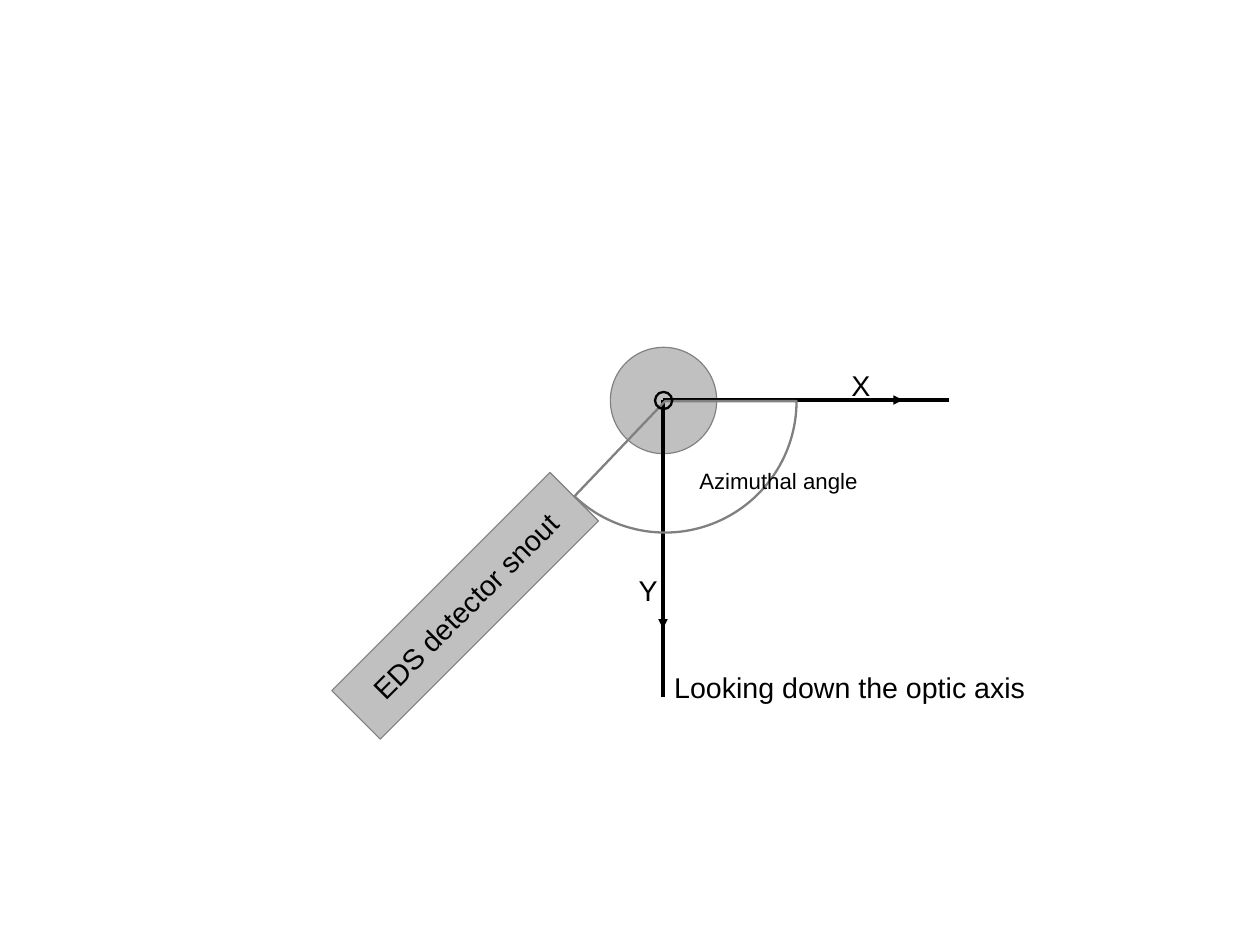
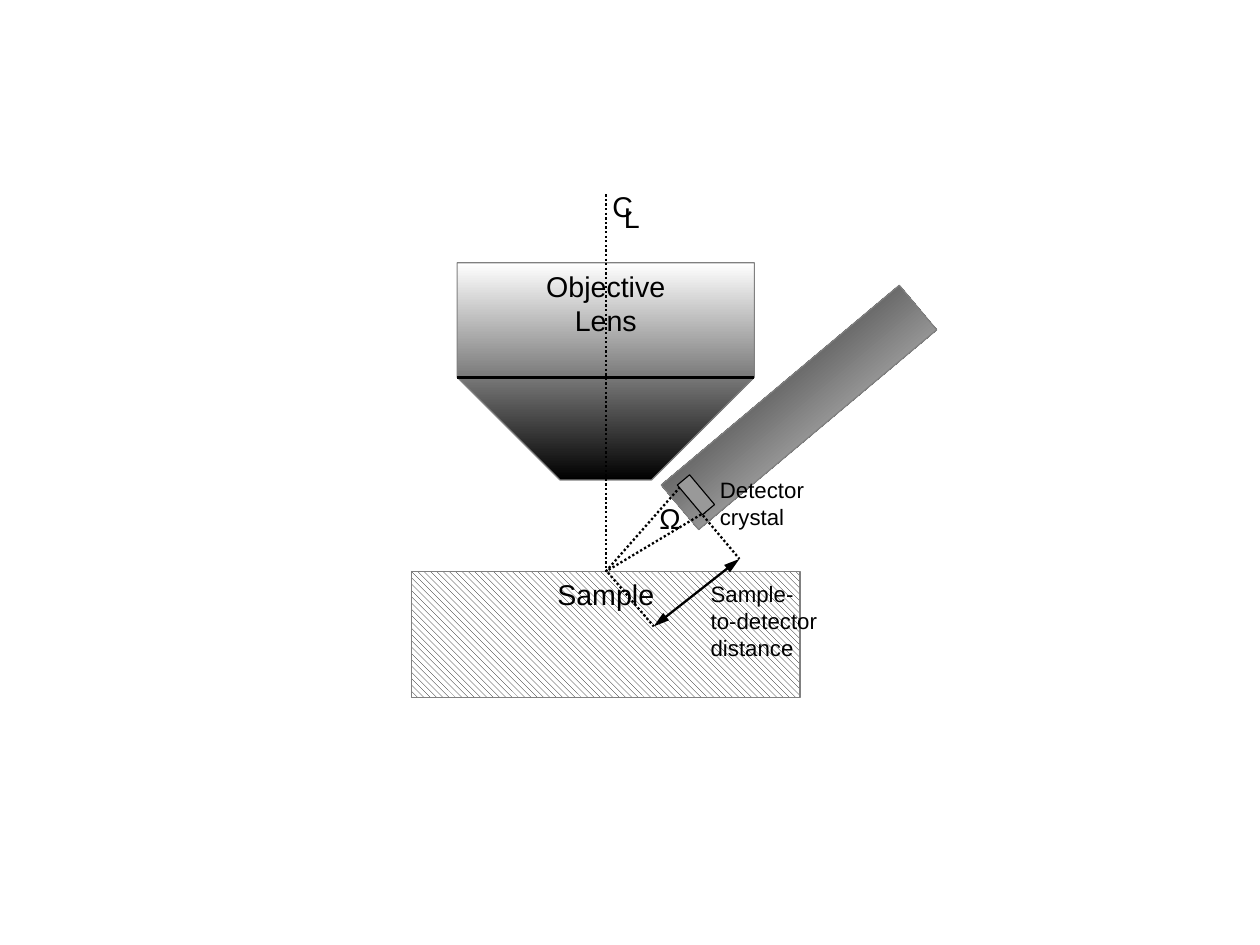
import pptx
import pptx.dml.color
import pptx.enum.dml
import pptx.enum.shapes
import pptx.enum.text
import pptx.oxml.ns
import pptx.oxml.xmlchemy
import pptx.util
from lxml import etree

BLACK = pptx.dml.color.RGBColor(0, 0, 0)
WHITE = pptx.dml.color.RGBColor(255, 255, 255)
GRAY = pptx.dml.color.RGBColor(128, 128, 128)
SILVER = pptx.dml.color.RGBColor(192, 192, 192)
STEEL = pptx.dml.color.RGBColor(153, 153, 153)

FONT = "Arial"
LARGE, SMALL = 18, 14
HAIR, BOLD = 0, 1.45

SHAPE = pptx.enum.shapes.MSO_SHAPE
LEFT = pptx.enum.text.PP_ALIGN.LEFT
MID = pptx.enum.text.PP_ALIGN.CENTER
TOP = pptx.enum.text.MSO_ANCHOR.TOP


def points(values):
    return [pptx.util.Pt(value) for value in values]


def write(shape, text, size=LARGE, color=BLACK, align=LEFT, anchor=TOP, wrap=False):
    frame = shape.text_frame
    frame.text = text
    frame.word_wrap = wrap
    frame.vertical_anchor = anchor
    for para in frame.paragraphs:
        para.alignment = align
        para.font.name = FONT
        para.font.size = pptx.util.Pt(size)
        para.font.color.rgb = color


def label(slide, text, box, **form):
    write(slide.shapes.add_textbox(*points(box)), text, **form)


def style(shape, fill=None, line=GRAY, width=HAIR):
    shape.shadow.inherit = False
    if fill is None:
        shape.fill.background()
    else:
        shape.fill.solid()
        shape.fill.fore_color.rgb = fill
    shape.line.color.rgb = line
    shape.line.width = pptx.util.Pt(width)


def block(slide, kind, box, turn=0, **look):
    shape = slide.shapes.add_shape(kind, *points(box))
    shape.rotation = turn
    style(shape, **look)
    return shape


def disc(slide, center, radius, **look):
    x, y = center
    box = (x - radius, y - radius, 2 * radius, 2 * radius)
    return block(slide, SHAPE.OVAL, box, **look)


def outline(slide, corners):
    start, *rest = [points(corner) for corner in corners]
    maker = slide.shapes.build_freeform(*start)
    maker.add_line_segments(rest, close=True)
    shape = maker.convert_to_shape()
    style(shape)
    return shape


def shade(shape, angle):
    """Fill from black to white along a clockwise angle fixed to the page."""
    shape.fill.gradient()
    shape.fill.gradient_angle = (360 - angle) % 360
    for stop, color, place in zip(shape.fill.gradient_stops, (BLACK, WHITE), (0, 1)):
        stop.color.rgb = color
        stop.position = place
    grad = shape._element.spPr.find(pptx.oxml.ns.qn("a:gradFill"))
    grad.set("rotWithShape", "0")


def stroke(slide, start, end, width=BOLD, dots=False, heads=(), length="med"):
    """Draw a line; heads lists headEnd and tailEnd, in that order."""
    straight = pptx.enum.shapes.MSO_CONNECTOR.STRAIGHT
    line = slide.shapes.add_connector(straight, *points(start + end))
    line.line.color.rgb = BLACK
    line.line.width = pptx.util.Pt(width)
    if dots:
        line.line.dash_style = pptx.enum.dml.MSO_LINE.ROUND_DOT
    for head in heads:
        tip = etree.SubElement(line.line._get_or_add_ln(), pptx.oxml.ns.qn("a:" + head))
        tip.set("type", "triangle")
        tip.set("w", "med")
        tip.set("len", length)
    etree.SubElement(line._element.spPr, pptx.oxml.ns.qn("a:effectLst"))


def top_view(slide):
    x, y = origin = (417.6, 252)
    hub = (418, 252.3)
    disc(slide, hub, 33.5, fill=SILVER)
    stroke(slide, origin, (597.6, y), width=HAIR)
    stroke(slide, origin, (x, 439.2), width=HAIR)

    snout = block(slide, SHAPE.RECTANGLE, (195.8, 360, 194.4, 43.2), turn=315, fill=SILVER)
    write(snout, "EDS detector snout", align=MID, anchor=pptx.enum.text.MSO_ANCHOR.MIDDLE)

    for end in ((x, 396), (568.8, y)):
        stroke(slide, origin, end, heads=["tailEnd"])

    sweep = block(slide, SHAPE.PIE, (336.2, 169.9, 165.6, 165.6), width=BOLD)
    sweep.adjustments[0] = 0
    sweep.adjustments[1] = 133.6 * 0.6  # 60000 units a degree, scaled by 100000

    label(slide, "Azimuthal angle", (433.4, 290.9, 114.5, 23), size=SMALL)
    label(slide, "X", (529.2, 228.2, 25.9, 27.4))
    label(slide, "Y", (395.3, 357.1, 25.9, 27.4))
    label(slide, "Looking down the optic axis", (417.6, 418.3, 235.4, 27.4))
    disc(slide, hub, 5.4, line=BLACK, width=BOLD)


def side_view(slide):
    x, y = spot = (381.6, 360)
    left, right, rim = 288, 475.2, 237.6
    lens = outline(slide, [(left, 165.6), (left, rim), (352.8, 302.4),
                           (410.4, 302.4), (right, rim), (right, 165.6)])
    shade(lens, 270)
    write(lens, "Objective\nLens", align=MID, wrap=True)

    snout = block(slide, SHAPE.RECTANGLE, (405.4, 238.3, 195.8, 36.7), turn=320)
    shade(snout, 50)

    sample = block(slide, SHAPE.RECTANGLE, (259.2, y, 244.8, 79.2))
    sample.fill.patterned()
    sample.fill.pattern = pptx.enum.dml.MSO_PATTERN.WIDE_DOWNWARD_DIAGONAL
    sample.fill.fore_color.rgb = BLACK
    sample.fill.back_color.rgb = WHITE
    write(sample, "Sample", align=MID)

    stroke(slide, (x, 122.4), spot, dots=True)
    stroke(slide, (left, rim), (right, rim), width=HAIR)
    label(slide, "C", (378.7, 115.2, 27.4, 27.4))
    label(slide, "L", (385.9, 122.4, 24.5, 27.4))

    stroke(slide, spot, (429.1, 306), dots=True)
    stroke(slide, (444.2, 322.6), spot, dots=True)
    block(slide, SHAPE.RECTANGLE, (433.4, 299.5, 10.1, 24.5), turn=320,
          fill=STEEL, line=BLACK, width=0.71)
    label(slide, "Ω", (408.2, 311.8, 27.4, 27.4))
    label(slide, "Detector\ncrystal", (446.4, 296.6, 67.7, 38.9), size=SMALL)

    near, far = (411.8, 394.6), (465.8, 352.1)
    stroke(slide, (442.8, 324.7), far, dots=True)
    stroke(slide, (383, 360.7), near, dots=True)
    stroke(slide, near, far, heads=["headEnd", "tailEnd"], length="lg")
    label(slide, "Sample-\nto-detector\ndistance", (440.6, 362.2, 81.4, 54), size=SMALL)


def main():
    deck = pptx.Presentation()
    deck.slide_width, deck.slide_height = points((793.7, 595.3))
    for draw in (top_view, side_view):
        draw(deck.slides.add_slide(deck.slide_layouts[6]))
    deck.save("out.pptx")


if __name__ == "__main__":
    main()
